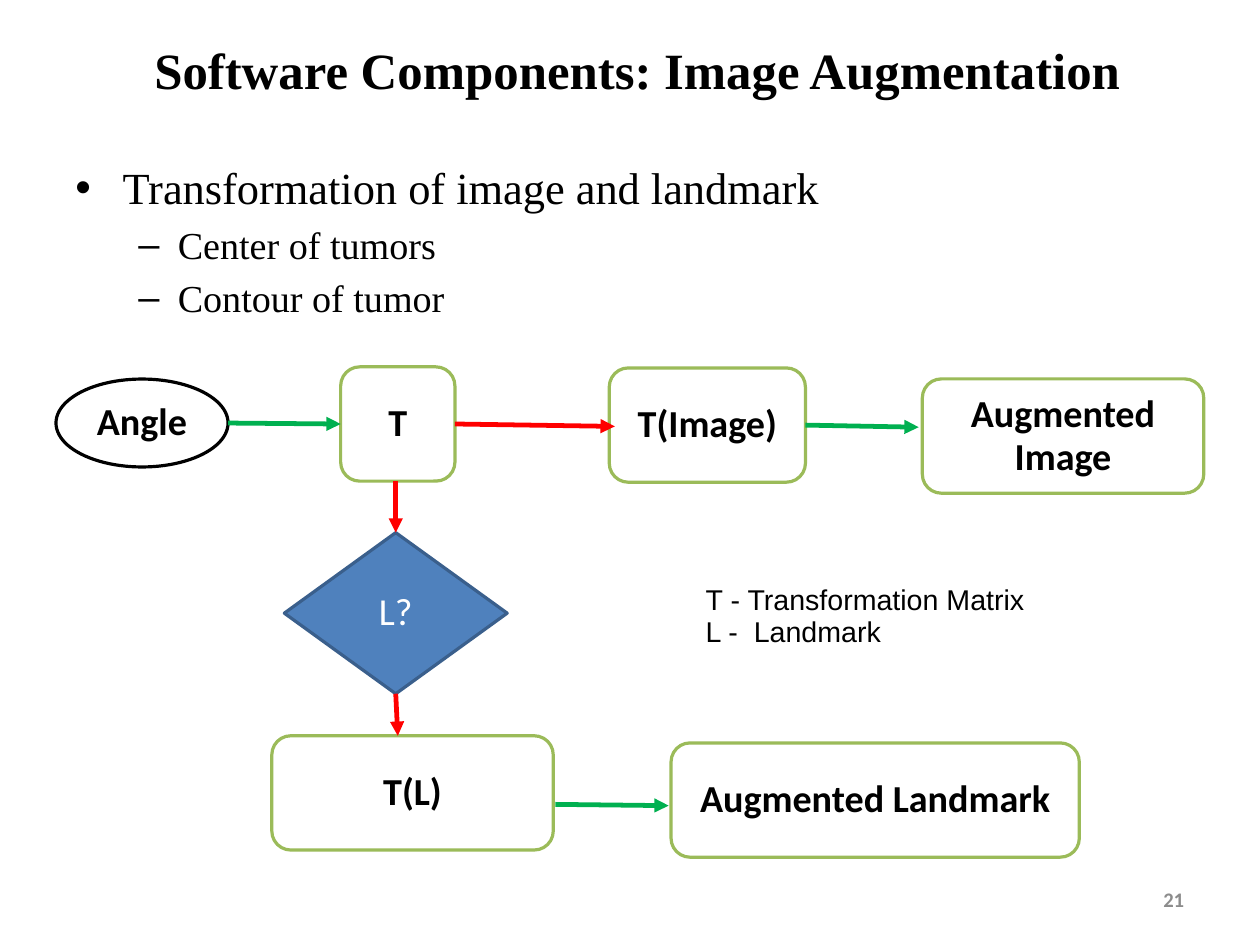
from lxml import etree
from pptx import Presentation
from pptx.dml.color import RGBColor as RGB
from pptx.enum.shapes import MSO_CONNECTOR as Conn, MSO_SHAPE as Kind
from pptx.enum.text import MSO_ANCHOR as Anchor, PP_ALIGN as Align
from pptx.oxml.ns import qn
from pptx.util import Pt

HUE = {"ink": "000000", "paper": "FFFFFF", "gray": "8C8C8C",
       "leaf": "9BBB59", "blue": "4F81BD", "navy": "3A5F8C",
       "green": "00B050", "red": "FF0000"}
TOP, LEFT, BASE, RIGHT = range(4)

HEAD = {"name": "Times New Roman", "size": Pt(32), "bold": True}
ITEM = {"name": "Times New Roman", "size": Pt(28)}
SUB = ITEM | {"size": Pt(24)}
NODE = {"name": "Calibri", "size": Pt(24), "bold": True}
TEST = NODE | {"bold": False}
NOTE = {"name": "Arial", "size": Pt(18)}
PAGE = {"name": "Calibri", "size": Pt(13), "bold": True}

INSET = {"margin_left": Pt(7.9), "margin_right": Pt(7.9),
         "margin_top": Pt(4), "margin_bottom": Pt(4)}
MID = {"vertical_anchor": Anchor.MIDDLE}
TIGHT = {"line_spacing": 0.93}

# text, level, left margin, hanging indent, bullet, font
POINTS = [
    ("Transformation of image and landmark", 0, 29.8, 29.8, "•", ITEM),
    ("Center of tumors", 1, 64.5, 24.8, "–", SUB),
    ("Contour of tumor", 1, 64.5, 24.8, "–", SUB),
]

# text, shape, box within the flow, fill, line, font, ink
NODES = [
    ("Angle", Kind.OVAL, (0, 7.7, 108.4, 55.4), "paper", "ink", NODE, "ink"),
    ("T", Kind.ROUNDED_RECTANGLE, (179.3, 0, 72, 72),
     "paper", "leaf", NODE, "ink"),
    ("L?", Kind.DIAMOND, (143.8, 104.4, 140.4, 101.5),
     "blue", "navy", TEST, "paper"),
    ("T(Image)", Kind.ROUNDED_RECTANGLE, (348.5, 0.7, 123.6, 72),
     "paper", "leaf", NODE, "ink"),
    ("T(L)", Kind.ROUNDED_RECTANGLE, (135.9, 232.4, 177.3, 72),
     "paper", "leaf", NODE, "ink"),
    ("Augmented Image", Kind.ROUNDED_RECTANGLE, (545.7, 7.6, 177.3, 72),
     "paper", "leaf", NODE, "ink"),
    ("Augmented Landmark", Kind.ROUNDED_RECTANGLE, (387.4, 236.9, 257.2, 72),
     "paper", "leaf", NODE, "ink"),
]

# each end is a (node, side) joint or an (x, y) point within the flow
ARROWS = [
    ((108.4, 35.4), ("T", LEFT), "green"),
    (("T", RIGHT), (352, 37.5), "red"),
    ((214, 72), ("L?", TOP), "red"),
    (("L?", BASE), (215.3, 232.4), "red"),
    (("T(Image)", RIGHT), (543.4, 38), "green"),
    ((314.6, 275.6), (385.9, 276.4), "green"),
]


def apply(item, form):
    for key, value in form.items():
        setattr(item, key, value)


def write(para, text, font, ink="ink", form=None):
    run = para.add_run()
    run.text = text
    apply(run.font, font)
    run.font.color.rgb = RGB.from_string(HUE[ink])
    apply(para, form or {})


def add_box(slide, box, form):
    frame = slide.shapes.add_textbox(*map(Pt, box)).text_frame
    apply(frame, {"word_wrap": True} | form)
    return frame


def add_label(slide, box, text, font, ink, align):
    frame = add_box(slide, box, INSET | MID)
    write(frame.paragraphs[0], text, font, ink, {"alignment": align})


def add_points(slide, box):
    frame = add_box(slide, box, INSET)
    for i, (text, level, left, hang, mark, font) in enumerate(POINTS):
        para = frame.add_paragraph() if i else frame.paragraphs[0]
        write(para, text, font, form={
            "level": level, "alignment": Align.JUSTIFY,
            "space_before": Pt(0.2 * font["size"].pt)})
        props = para._p.get_or_add_pPr()
        props.set("marL", str(Pt(left)))
        props.set("indent", str(-Pt(hang)))
        face = etree.SubElement(props, qn("a:buFont"))
        face.set("typeface", "Arial")
        etree.SubElement(props, qn("a:buChar")).set("char", mark)


def add_node(slide, box, text, kind, fill, line, font, ink):
    node = slide.shapes.add_shape(kind, *map(Pt, box))
    node.shadow.inherit = False
    node.fill.solid()
    node.fill.fore_color.rgb = RGB.from_string(HUE[fill])
    node.line.color.rgb = RGB.from_string(HUE[line])
    node.line.width = Pt(2)
    apply(node.text_frame, {"word_wrap": True} | MID)
    write(node.text_frame.paragraphs[0], text, font, ink,
          {"alignment": Align.CENTER} | TIGHT)
    return node


def add_arrow(slide, x, y, nodes, start, end, hue):
    def spot(tip):
        if tip[0] in nodes:
            return 0, 0
        return Pt(x + tip[0]), Pt(y + tip[1])

    arrow = slide.shapes.add_connector(
        Conn.STRAIGHT, *spot(start), *spot(end))
    for tip, join in ((start, arrow.begin_connect), (end, arrow.end_connect)):
        if tip[0] in nodes:
            join(nodes[tip[0]], tip[1])
    arrow.line.color.rgb = RGB.from_string(HUE[hue])
    arrow.line.width = Pt(3)
    props = arrow._element.spPr
    tail = etree.SubElement(props.find(qn("a:ln")), qn("a:tailEnd"))
    tail.set("type", "triangle")
    etree.SubElement(props, qn("a:effectLst"))


def add_flow(slide, x, y):
    nodes = {}
    for text, kind, (dx, dy, w, h), *style in NODES:
        nodes[text] = add_node(
            slide, (x + dx, y + dy, w, h), text, kind, *style)
    for start, end, hue in ARROWS:
        add_arrow(slide, x, y, nodes, start, end, hue)


def add_legend(slide, box):
    frame = add_box(slide, box, {})
    write(frame.paragraphs[0], "T - Transformation Matrix", NOTE, form=TIGHT)
    write(frame.add_paragraph(), "L -  Landmark", NOTE, form=TIGHT)


def main():
    deck = Presentation()
    apply(deck, {"slide_width": Pt(793.7), "slide_height": Pt(595.28)})
    slide = deck.slides.add_slide(deck.slide_layouts[6])
    add_label(slide, (44.6, 14, 714.2, 59),
              "Software Components: Image Augmentation",
              HEAD, "ink", Align.CENTER)
    add_points(slide, (39.6, 97, 714.2, 452))
    add_label(slide, (568.8, 550.8, 185, 31.7), "21",
              PAGE, "gray", Align.RIGHT)
    add_flow(slide, 35.3, 231.1)
    add_legend(slide, (437.5, 365, 242.6, 47.5))
    deck.save("out.pptx")


if __name__ == "__main__":
    main()
